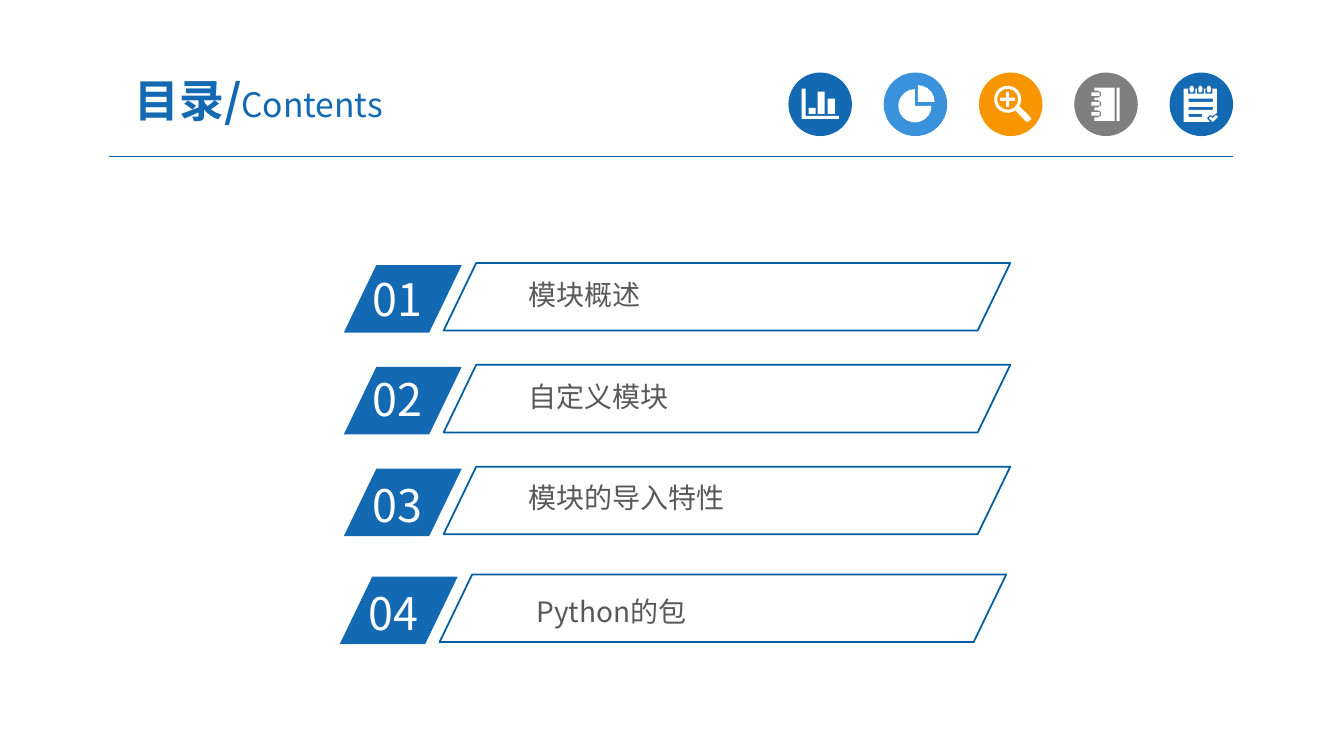
import math
from dataclasses import dataclass

import lxml.etree
import pptx
import pptx.dml.color
import pptx.enum.shapes
import pptx.enum.text
import pptx.oxml.ns
import pptx.util

Inches = pptx.util.Inches
SHAPE = pptx.enum.shapes.MSO_SHAPE


@dataclass(frozen=True)
class Theme:
    """Colours, font and type sizes of the slide."""
    font: str = "Noto Sans CJK SC"
    blue: str = "1369B2"
    sky: str = "3992DB"
    orange: str = "F79600"
    grey: str = "7F7F7F"
    rule: str = "005B9E"
    frame: str = "005DA2"
    text: str = "595959"
    white: str = "FFFFFF"
    large: int = 32
    medium: int = 24
    body: int = 20


THEME = Theme()


def rgb(value):
    """Turn a hex string into a colour."""
    return pptx.dml.color.RGBColor.from_string(value)


def set_font(font, size, color, bold=False):
    """Set the Latin and East Asian typeface, size, colour and weight."""
    font.name = THEME.font
    font.size = pptx.util.Pt(size)
    font.bold = bold
    font.color.rgb = rgb(color)
    latin = font._element.find(pptx.oxml.ns.qn("a:latin"))
    ea = lxml.etree.Element(pptx.oxml.ns.qn("a:ea"), typeface=THEME.font)
    latin.addnext(ea)


def paint(sp, fill=None, line=None, width=1.25):
    """Give a shape its fill and outline, without a shadow."""
    sp.shadow.inherit = False
    if fill:
        sp.fill.solid()
        sp.fill.fore_color.rgb = rgb(fill)
    else:
        sp.fill.background()
    if line:
        sp.line.color.rgb = rgb(line)
        sp.line.width = pptx.util.Pt(width)
    else:
        sp.line.fill.background()


def add_text(s, box, inset):
    """Add a wrapping text box and return its text frame."""
    tf = s.shapes.add_textbox(*map(Inches, box)).text_frame
    tf.word_wrap = True
    tf.margin_left = tf.margin_right = Inches(inset[0])
    tf.margin_top = tf.margin_bottom = Inches(inset[1])
    return tf


def add_label(s, box, text, size, color, inset=(0.1, 0.05)):
    """Add a text box with one evenly styled paragraph."""
    p = add_text(s, box, inset).paragraphs[0]
    p.add_run().text = text
    set_font(p.font, size, color)


def add_parallelogram(s, box, **style):
    """Add a slanted box."""
    sp = s.shapes.add_shape(SHAPE.PARALLELOGRAM, *map(Inches, box))
    sp.adjustments[0] = 0.482
    paint(sp, **style)


def rect(x1, y1, x2, y2):
    """Return the corners of a rectangle."""
    return [(x1, y1), (x2, y1), (x2, y2), (x1, y2)]


def arc(cx, cy, radius, start=0, end=360):
    """Return points along an arc, spaced by its length."""
    sweep = math.radians(end - start)
    steps = max(3, round(abs(sweep) * radius / 5))
    angles = [math.radians(start) + sweep * i / steps for i in range(steps + 1)]
    return [(cx + radius * math.cos(a), cy + radius * math.sin(a)) for a in angles]


def pill(x1, y1, x2, y2):
    """Return the outline of a bar with rounded ends."""
    r = min(x2 - x1, y2 - y1) / 2
    if x2 - x1 > y2 - y1:
        return arc(x2 - r, y1 + r, r, -90, 90) + arc(x1 + r, y1 + r, r, 90, 270)
    return arc(x1 + r, y1 + r, r, 180, 360) + arc(x1 + r, y2 - r, r, 0, 180)


def bars_icon():
    """Return the contours of a bar chart."""
    axes = [(13, 16), (17, 16), (17, 43), (50, 43), (50, 46), (13, 46)]
    return [axes] + [rect(x, y, x + 7, 41) for x, y in ((20, 35), (29, 19), (39, 26))]


def pie_icon():
    """Return the contours of a pie with one slice pulled out."""
    return [[(34, 29)] + arc(34, 29, 16.5, -90, 0), [(31, 33)] + arc(31, 33, 16.5, 0, 270)]


def lens_icon():
    """Return the contours of a magnifier with a plus sign."""
    x, y, a, b = 28.5, 26.5, 7.5, 1.5
    plus = [(x - a, y - b), (x - b, y - b), (x - b, y - a), (x + b, y - a),
            (x + b, y - b), (x + a, y - b), (x + a, y + b), (x + b, y + b),
            (x + b, y + a), (x - b, y + a), (x - b, y + b), (x - a, y + b)]
    handle = [(40, 33.5), (50, 43), (52, 46), (48, 49), (46, 48), (36, 37.5)]
    return [arc(x, y, 13.5), arc(x, y, 10.5), plus, handle]


def notebook_icon():
    """Return the contours of a ring-bound notebook."""
    body = [(40, 15), (40, 48), (20, 48)]
    rings = (41, 31, 21.5)
    for y in rings:
        body += [(20, y + 3.5)] + arc(23.5, y, 3.5, 90, -90) + [(20, y - 3.5)]
    body += [(20, 15)]
    return [body, rect(42, 15, 45, 48)] + [rect(17, y - 1.75, 25, y + 1.75) for y in rings]


def notepad_icon():
    """Return the contours of a checked notepad."""
    page = [(14, 16), (47, 16), (47, 40), (43, 43), (40, 42), (37, 45), (40, 49), (14, 49)]
    check = [(48, 44), (43, 49), (39, 45.5), (40.5, 43.5), (43, 45), (46, 42)]
    rows = [rect(19, y, x, y + 3) for x, y in ((43, 26), (43, 34), (32, 41))]
    rings = []
    for x in (22, 30.5, 39):
        rings += [rect(x - 3.5, 16, x + 3.5, 21), pill(x - 2, 13, x + 2, 20)]
    return [page, check] + rows + rings


def add_icon(s, x, y, size, color, contours):
    """Draw a disc with a white symbol, given in hundredths of an inch."""
    paint(s.shapes.add_shape(SHAPE.OVAL, *map(Inches, (x, y, size, size))), color)
    placed = [[(Inches(x + px / 100), Inches(y + py / 100)) for px, py in c]
              for c in contours]
    builder = s.shapes.build_freeform(*placed[0][0])
    for i, points in enumerate(placed):
        if i:
            builder.move_to(*points[0])
        builder.add_line_segments(points[1:], close=True)
    paint(builder.convert_to_shape(), THEME.white)


def add_header(s, x, y, w):
    """Place the title, the row of icons and the rule below them."""
    rule = s.shapes.add_connector(pptx.enum.shapes.MSO_CONNECTOR.STRAIGHT,
                                  *map(Inches, (x, y + 0.92, x + w, y + 0.92)))
    rule.line.color.rgb = rgb(THEME.rule)
    rule.line.width = pptx.util.Pt(0.75)
    lxml.etree.SubElement(rule._element.spPr, pptx.oxml.ns.qn("a:effectLst"))

    icons = ((THEME.blue, bars_icon), (THEME.sky, pie_icon), (THEME.orange, lens_icon),
             (THEME.grey, notebook_icon), (THEME.blue, notepad_icon))
    for i, (color, icon) in enumerate(icons):
        add_icon(s, x + 6.74 + 0.945 * i, y + 0.09, 0.63, color, icon())

    tf = add_text(s, (x - 0.16, y, 3.29, 0.72), (0.13, 0.07))
    tf.vertical_anchor = pptx.enum.text.MSO_ANCHOR.MIDDLE
    p = tf.paragraphs[0]
    p.alignment = pptx.enum.text.PP_ALIGN.CENTER
    for text, size, bold in (("目录/", THEME.large, True), ("Contents", THEME.medium, False)):
        r = p.add_run()
        r.text = text
        set_font(r.font, size, THEME.blue, bold)


def add_entry(s, x, y, number, title, number_dy, title_dx, title_dy):
    """Place one numbered line of the contents."""
    add_parallelogram(s, (x, y + 0.02, 1.17, 0.67), fill=THEME.blue)
    add_label(s, (x + 0.19, y + number_dy, 1.12, 0.64), number, THEME.large, THEME.white)
    add_label(s, (x + title_dx, y + title_dy, 4.12, 0.41), title, THEME.body, THEME.text,
              (0.07, 0.04))
    add_parallelogram(s, (x + 0.99, y, 5.62, 0.67), line=THEME.frame)


def main():
    """Build the contents slide."""
    prs = pptx.Presentation()
    prs.slide_width, prs.slide_height = Inches(13.33), Inches(7.5)
    s = prs.slides.add_slide(prs.slide_layouts[6])
    add_header(s, 1.08, 0.63, 11.15)
    entries = (("模块概述", 0.04), ("自定义模块", 0.02), ("模块的导入特性", 0.06))
    for i, (title, number_dy) in enumerate(entries):
        add_entry(s, 3.41, 2.61 + 1.01 * i, f"{i + 1:02}", title, number_dy, 1.76, 0.1)
    add_entry(s, 3.37, 5.7, "04", "Python的包", 0.06, 1.88, 0.16)
    prs.save("out.pptx")


if __name__ == "__main__":
    main()
